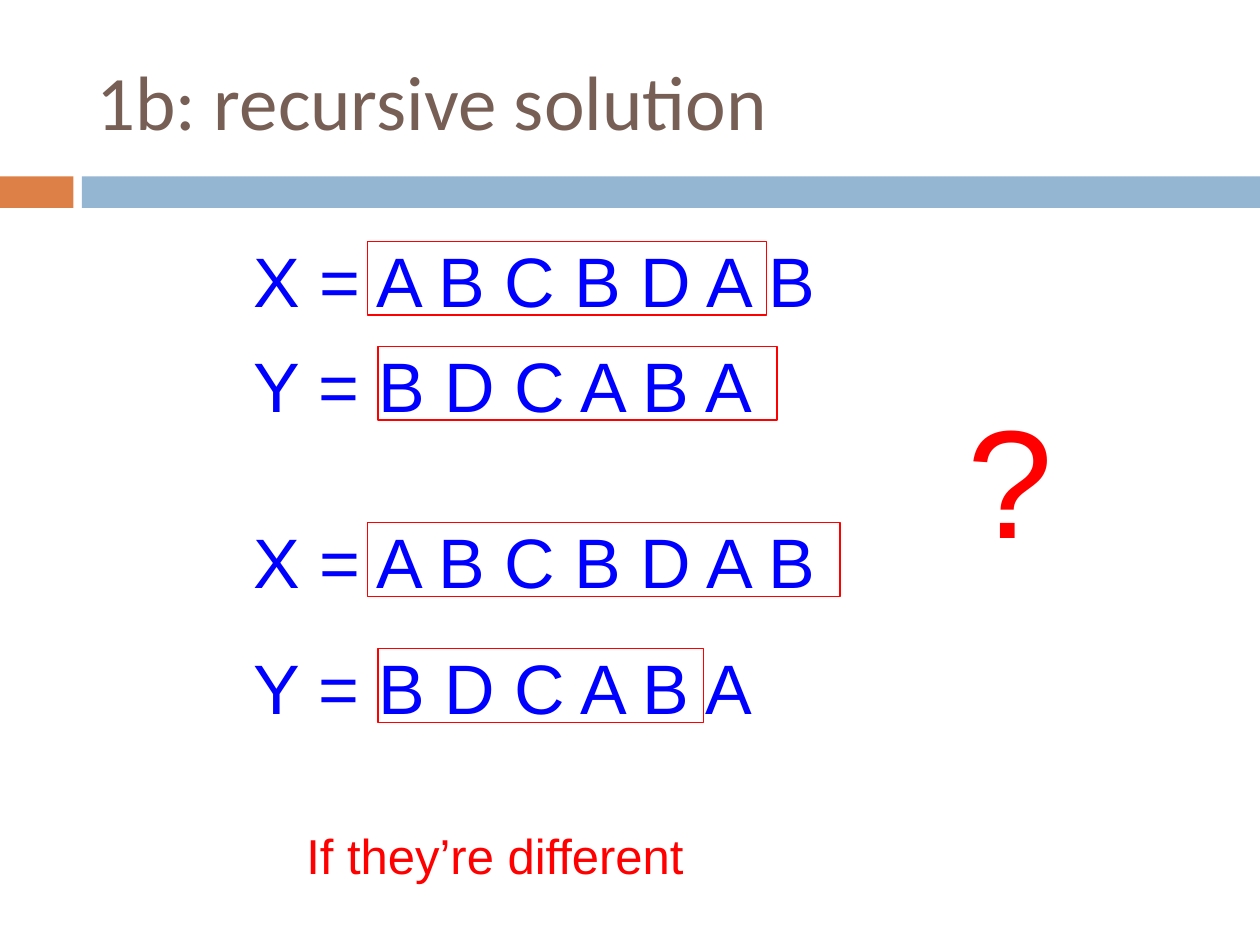
from typing import NamedTuple

from lxml import etree
from pptx import Presentation
from pptx.dml.color import RGBColor
from pptx.enum.shapes import MSO_SHAPE
from pptx.enum.text import MSO_ANCHOR, MSO_AUTO_SIZE, PP_ALIGN
from pptx.oxml.ns import qn
from pptx.util import Inches, Pt

RECT = MSO_SHAPE.RECTANGLE
MIDDLE = MSO_ANCHOR.MIDDLE
NO_FIT = MSO_AUTO_SIZE.NONE
LEFT = PP_ALIGN.LEFT

CELL = 1 / 12  # the grid has 120 columns and 90 rows
RED, BLUE = "FF0000", "0000FF"
ORANGE, SKY, BROWN = "DD8047", "94B6D2", "775F55"


class Area(NamedTuple):
    col: float
    row: float
    cols: float
    rows: float


class Label(NamedTuple):
    text: str
    area: Area
    size: int
    color: str


class Line(NamedTuple):
    text: str
    row: float
    cols: float
    frame_col: float
    frame_cols: float


X, Y = "X = A B C B D A B", "Y = B D C A B A"
LINES = [
    Line(X, 22, 58, 35, 38),
    Line(Y, 32, 62, 36, 38),
    Line(X, 48.8, 58, 35, 45),
    Line(Y, 60.8, 62, 36, 31),
]
LABELS = [
    Label("If they’re different", Area(28, 78, 43, 6.8), 28, RED),
    Label("?", Area(91, 36, 24, 18.8), 88, RED),
]
BARS = [
    (Area(0, 16.8, 7, 3), ORANGE),
    (Area(7.8, 16.8, 112.2, 3), SKY),
]


def paint(code: str) -> RGBColor:
    return RGBColor.from_string(code)


def place(area: Area) -> list:
    return [Inches(part * CELL) for part in area]


def style(item, **values) -> None:
    for name, value in values.items():
        setattr(item, name, value)


def write(frame, text: str, size: int, font: str, color: str):
    para = frame.paragraphs[0]
    run = para.add_run()
    run.text = text
    style(run.font, size=Pt(size), name=font)
    run.font.color.rgb = paint(color)
    return para


def add_label(slide, label: Label) -> None:
    frame = slide.shapes.add_textbox(*place(label.area)).text_frame
    frame.word_wrap = True
    para = write(frame, label.text, label.size, "Arial", label.color)
    # Space before is half a line
    space = etree.SubElement(para._p.get_or_add_pPr(), qn("a:spcBef"))
    etree.SubElement(space, qn("a:spcPct"), val="50000")


def add_rect(slide, area: Area, fill: str = "", line: str = "") -> None:
    rect = slide.shapes.add_shape(RECT, *place(area))
    rect.shadow.inherit = False
    if fill:
        rect.fill.solid()
        rect.fill.fore_color.rgb = paint(fill)
    else:
        rect.fill.background()
    if line:
        rect.line.color.rgb = paint(line)
        rect.line.width = Pt(0.75)
    else:
        rect.line.fill.background()


def add_title(slide, text: str, area: Area) -> None:
    title = slide.shapes.title
    style(title, **dict(zip(("left", "top", "width", "height"), place(area))))
    frame = title.text_frame
    style(frame, vertical_anchor=MIDDLE, auto_size=NO_FIT, word_wrap=True)
    write(frame, text, 44, "Calibri", BROWN).alignment = LEFT


def main() -> None:
    deck = Presentation()
    style(deck, slide_width=Inches(10), slide_height=Inches(7.5))
    slide = deck.slides.add_slide(deck.slide_layouts[5])

    # Header
    for area, color in BARS:
        add_rect(slide, area, fill=color)
    add_title(slide, "1b: recursive solution", Area(8, 3, 107, 13))

    # Sequences, each with a frame around its compared part
    for line in LINES:
        add_label(slide, Label(line.text, Area(23, line.row, line.cols, 9.2), 40, BLUE))
        add_rect(slide, Area(line.frame_col, line.row + 1, line.frame_cols, 7), line=RED)

    # Remarks
    for label in LABELS:
        add_label(slide, label)

    deck.save("out.pptx")


if __name__ == "__main__":
    main()
